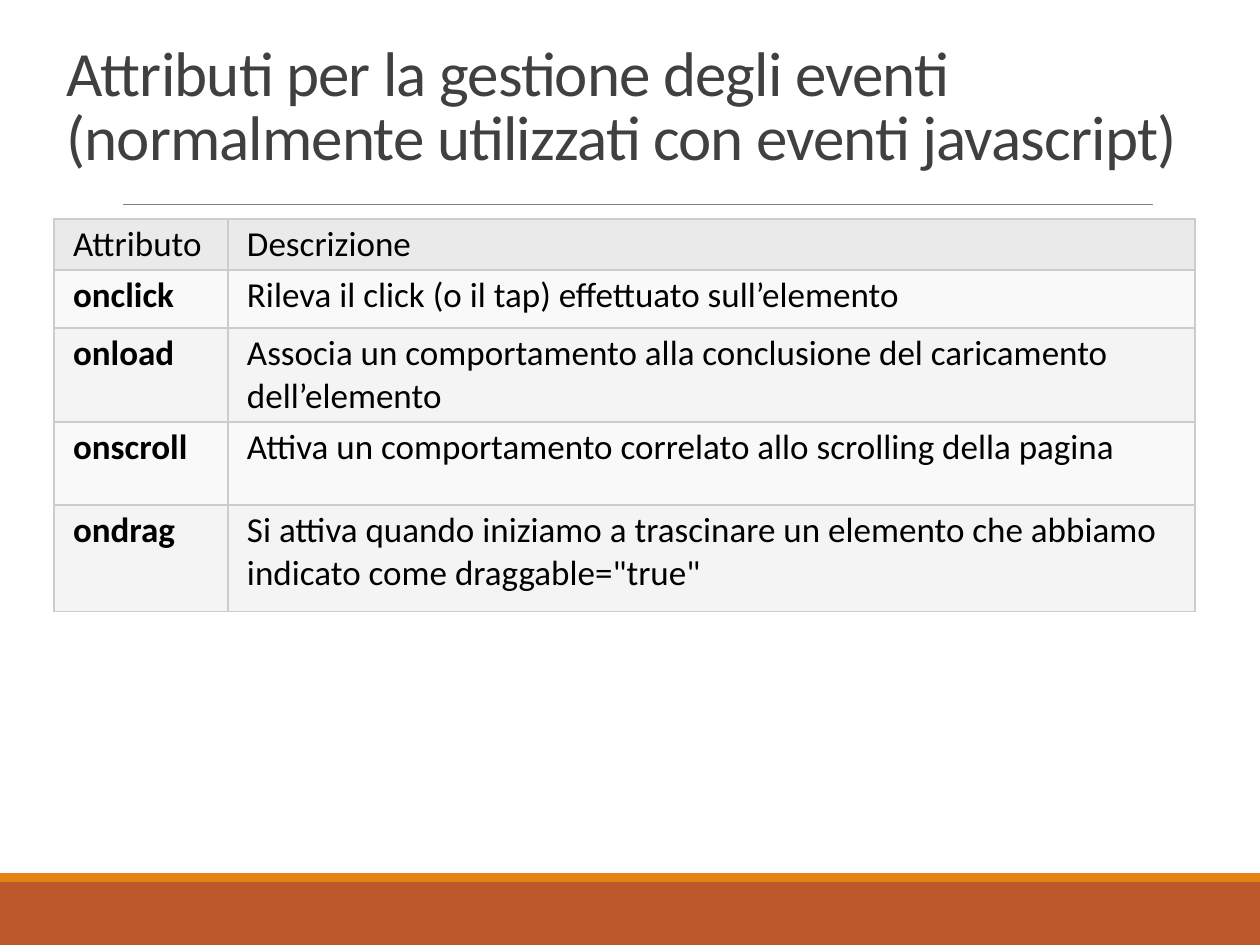
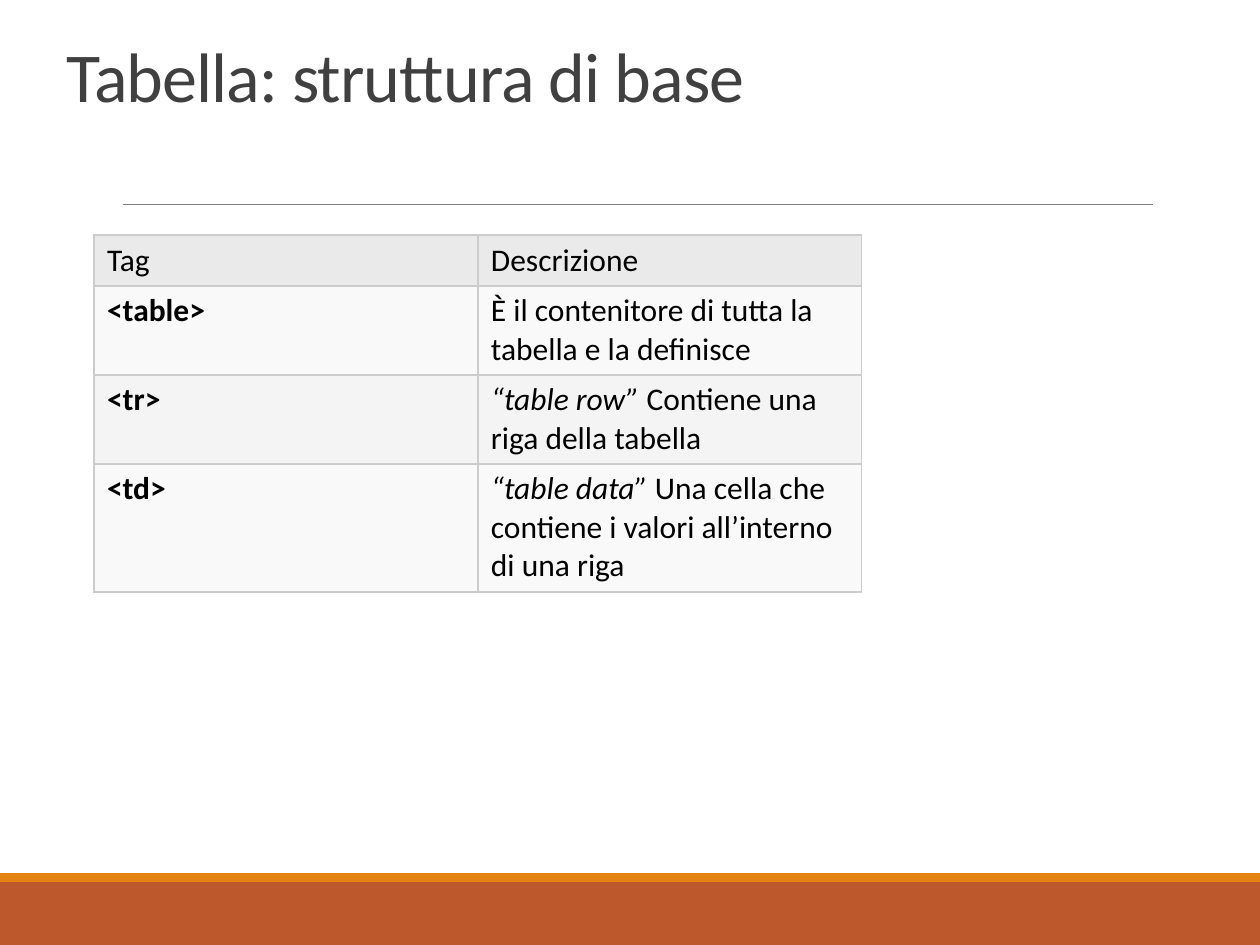
import pptx
import pptx.dml.color
import pptx.enum.shapes
import pptx.enum.text
import pptx.oxml.ns
import pptx.util
from lxml import etree

RUST = pptx.dml.color.RGBColor(0xBD, 0x58, 0x2C)
ORANGE = pptx.dml.color.RGBColor(0xE4, 0x83, 0x12)
RULE_GREY = pptx.dml.color.RGBColor(0x80, 0x80, 0x80)
TITLE_GREY = pptx.dml.color.RGBColor(0x40, 0x40, 0x40)
BORDER_GREY = pptx.dml.color.RGBColor(0xCC, 0xCC, 0xCC)
HEADER_GREY = pptx.dml.color.RGBColor(0xEA, 0xEA, 0xEA)
ODD_ROW = pptx.dml.color.RGBColor(0xF9, 0xF9, 0xF9)
EVEN_ROW = pptx.dml.color.RGBColor(0xF4, 0xF4, 0xF4)
BLACK = pptx.dml.color.RGBColor(0, 0, 0)

FONT = "Calibri"
PX_PER_INCH = 126
SLIDE_WIDTH, SLIDE_HEIGHT = 1260, 945

EVENT_ROWS = [
    ("Attributo", "Descrizione"),
    ("onclick", "Rileva il click (o il tap) effettuato sull’elemento"),
    ("onload", "Associa un comportamento alla conclusione del caricamento dell’elemento"),
    ("onscroll", "Attiva un comportamento correlato allo scrolling della pagina"),
    ("ondrag", "Si attiva quando iniziamo a trascinare un elemento che abbiamo "
               "indicato come draggable=\"true\""),
]
TAG_ROWS = [
    ("Tag", "Descrizione"),
    ("<table>", "È il contenitore di tutta la tabella e la definisce"),
    ("<tr>", " Contiene una riga della tabella", "“table row”"),
    ("<td>", " Una cella che contiene i valori all’interno di una riga", "“table data”"),
]


def px(length):
    """Turn whole pixels into EMU."""
    return pptx.util.Emu(round(length * 914400 / PX_PER_INCH))


def add_text(paragraph, text, size, color=BLACK, bold=False, italic=False, spacing=None):
    """Append a formatted run to a paragraph; spacing is in hundredths of a point."""
    run = paragraph.add_run()
    run.text = text
    run.font.name = FONT
    run.font.size = pptx.util.Pt(size)
    run.font.color.rgb = color
    run.font.bold = bold
    run.font.italic = italic
    if spacing is not None:
        run.font._element.set("spc", str(spacing))


def add_band(slide, top, height, color):
    """Draw a full-width footer band."""
    band = slide.shapes.add_shape(
        pptx.enum.shapes.MSO_SHAPE.RECTANGLE, 0, px(top), px(SLIDE_WIDTH), px(height))
    band.shadow.inherit = False
    band.fill.solid()
    band.fill.fore_color.rgb = color
    band.line.fill.background()


def add_title_rule(slide):
    """Draw the thin line under the title."""
    rule = slide.shapes.add_connector(
        pptx.enum.shapes.MSO_CONNECTOR.STRAIGHT, px(123), px(204), px(1153), px(204))
    rule.line.color.rgb = RULE_GREY
    rule.line.width = pptx.util.Pt(0.5)
    etree.SubElement(rule._element.spPr, pptx.oxml.ns.qn("a:effectLst"))


def add_title(slide, title, size):
    """Write the slide title."""
    frame = slide.shapes.add_textbox(px(54), px(39), px(1142), px(165)).text_frame
    frame.word_wrap = True
    paragraph = frame.paragraphs[0]
    paragraph.line_spacing = 0.85
    add_text(paragraph, title, size, color=TITLE_GREY, spacing=-50)


def add_framed_slide(deck, title, title_size):
    """Add a blank slide with the shared bands, rule and title."""
    slide = deck.slides.add_slide(deck.slide_layouts[6])
    add_band(slide, 882, 63, RUST)
    add_band(slide, 873, 9, ORANGE)
    add_title_rule(slide)
    add_title(slide, title, title_size)
    return slide


def add_borders(cell):
    """Give a cell thin grey borders on all four sides."""
    properties = cell._tc.get_or_add_tcPr()
    for side in ("a:lnL", "a:lnR", "a:lnT", "a:lnB"):
        border = etree.SubElement(
            properties, pptx.oxml.ns.qn(side), w=str(pptx.util.Pt(0.75)))
        fill = etree.SubElement(border, pptx.oxml.ns.qn("a:solidFill"))
        etree.SubElement(fill, pptx.oxml.ns.qn("a:srgbClr"), val=str(BORDER_GREY))


def style_cell(cell, row, margins):
    """Set the borders, row fill, insets and anchor of a cell."""
    add_borders(cell)
    cell.fill.solid()
    cell.fill.fore_color.rgb = (
        HEADER_GREY if row == 0 else ODD_ROW if row % 2 else EVEN_ROW)
    side, end = margins
    cell.margin_left = cell.margin_right = px(side)
    cell.margin_top = cell.margin_bottom = px(end)
    anchors = pptx.enum.text.MSO_ANCHOR
    cell.vertical_anchor = anchors.TOP if row else anchors.MIDDLE


def add_glossary(slide, rows, left, top, widths, heights, size, margins):
    """Build a table of terms, each with an optional italic lead and a description."""
    table = slide.shapes.add_table(
        len(rows), len(widths), px(left), px(top),
        px(sum(widths)), px(sum(heights))).table
    table.horz_banding = False
    for column, width in zip(table.columns, widths):
        column.width = px(width)
    for row, (height, (term, description, *lead)) in enumerate(zip(heights, rows)):
        table.rows[row].height = px(height)
        term_cell, description_cell = table.cell(row, 0), table.cell(row, 1)
        for cell in (term_cell, description_cell):
            style_cell(cell, row, margins)
        add_text(term_cell.text_frame.paragraphs[0], term, size, bold=row > 0)
        paragraph = description_cell.text_frame.paragraphs[0]
        for phrase in lead:
            add_text(paragraph, phrase, size, italic=True)
        add_text(paragraph, description, size)


def main():
    """Build and save the two slides."""
    deck = pptx.Presentation()
    deck.slide_width, deck.slide_height = px(SLIDE_WIDTH), px(SLIDE_HEIGHT)

    events = add_framed_slide(
        deck, "Attributi per la gestione degli eventi "
              "(normalmente utilizzati con eventi javascript)", 36)
    add_glossary(events, EVENT_ROWS, left=54, top=219, widths=(174, 967),
                 heights=(51, 58, 94, 83, 107), size=20, margins=(19, 4))

    tags = add_framed_slide(deck, "Tabella: struttura di base", 40)
    add_glossary(tags, TAG_ROWS, left=94, top=235, widths=(384, 384),
                 heights=(51, 89, 89, 128), size=18, margins=(13, 6))

    deck.save("out.pptx")


if __name__ == "__main__":
    main()
